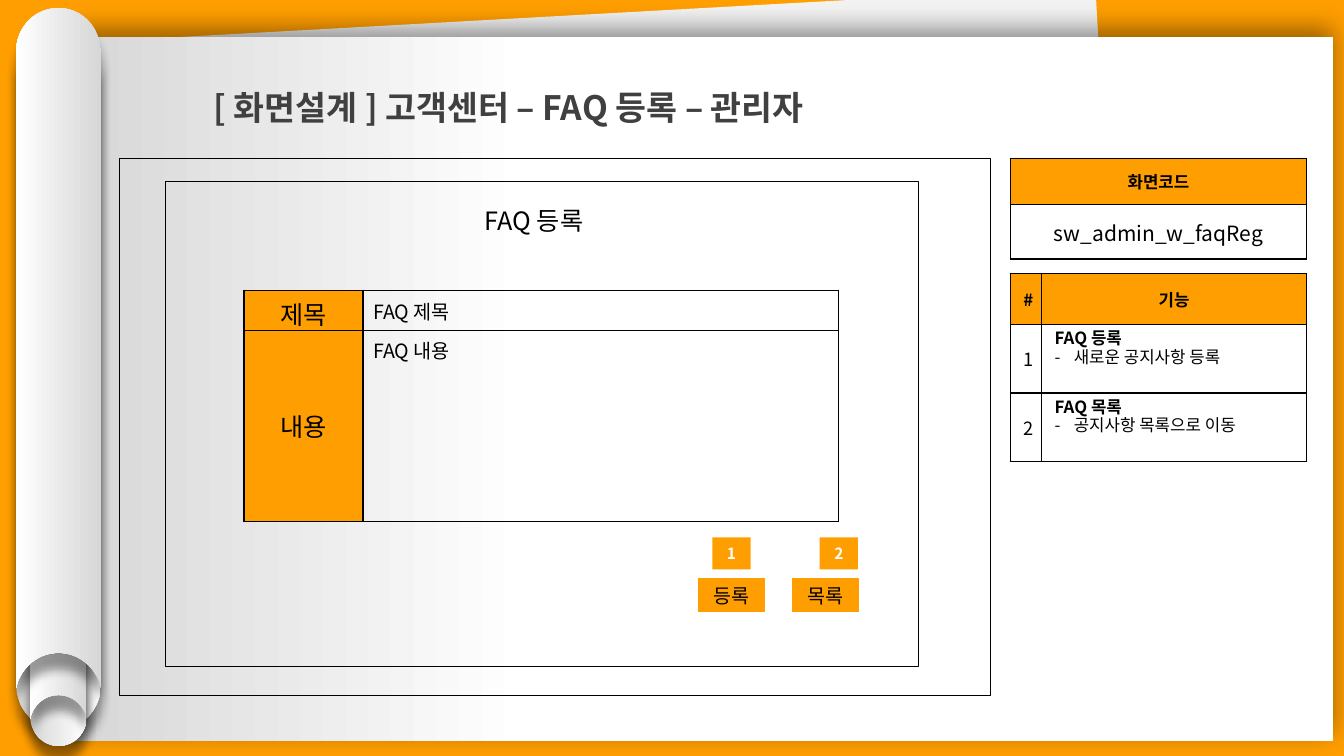
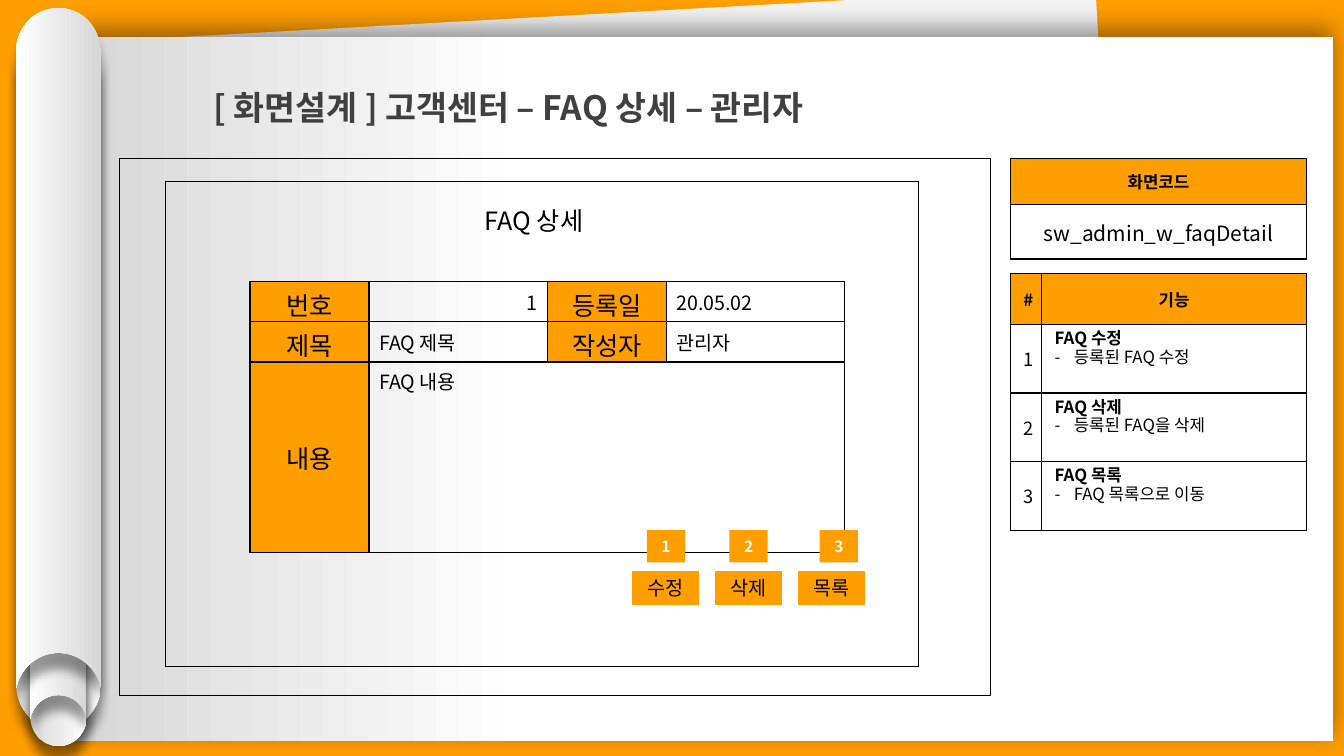
from lxml import etree
from pptx import Presentation
from pptx.dml.color import RGBColor
from pptx.enum.shapes import MSO_SHAPE
from pptx.enum.text import MSO_ANCHOR, PP_ALIGN
from pptx.oxml.ns import qn
from pptx.util import Inches, Pt

RECT = MSO_SHAPE.RECTANGLE
TOP, MIDDLE = MSO_ANCHOR.TOP, MSO_ANCHOR.MIDDLE
LEFT, CENTER, RIGHT = PP_ALIGN.LEFT, PP_ALIGN.CENTER, PP_ALIGN.RIGHT

FONT = "Noto Sans CJK KR"
ORANGE, BLACK, WHITE = "FF9E00", "000000", "FFFFFF"
TITLE_GRAY, SHEET_GRAY, FOLD_GRAY = "404040", "F2F2F2", "D7D7D7"

# Content: form cells are (text, style, columns spanned)
SCREENS = [
    {
        "title": "[ 화면설계 ] 고객센터 – FAQ 등록 – 관리자",
        "heading": "FAQ 등록",
        "code": "sw_admin_w_faqReg",
        "form_at": (2.42, 2.88),
        "form_columns": [1.18, 4.72],
        "form": [
            [("제목", "label", 1), ("FAQ 제목", "value", 1)],
            [("내용", "label", 1), ("FAQ 내용", "body", 1)],
        ],
        "buttons": ["등록", "목록"],
        "buttons_at": (6.93, 5.74),
        "button_step": 0.93,
        "functions": [
            ("FAQ 등록", "새로운 공지사항 등록"),
            ("FAQ 목록", "공지사항 목록으로 이동"),
        ],
    },
    {
        "title": "[ 화면설계 ] 고객센터 – FAQ 상세 – 관리자",
        "heading": "FAQ 상세",
        "code": "sw_admin_w_faqDetail",
        "form_at": (2.48, 2.79),
        "form_columns": [1.18, 1.77, 1.18, 1.77],
        "form": [
            [("번호", "label", 1), ("1", "number", 1),
             ("등록일", "label", 1), ("20.05.02", "value", 1)],
            [("제목", "label", 1), ("FAQ 제목", "value", 1),
             ("작성자", "label", 1), ("관리자", "value", 1)],
            [("내용", "label", 1), ("FAQ 내용", "body", 3)],
        ],
        "buttons": ["수정", "삭제", "목록"],
        "buttons_at": (6.28, 5.67),
        "button_step": 0.82,
        "functions": [
            ("FAQ 수정", "등록된 FAQ 수정"),
            ("FAQ 삭제", "등록된 FAQ을 삭제"),
            ("FAQ 목록", "FAQ 목록으로 이동"),
        ],
    },
]

# Form cell styles: size, alignment, anchor, fill
FORM_STYLES = {
    "label": (18, CENTER, MIDDLE, ORANGE),
    "value": (14, LEFT, MIDDLE, None),
    "number": (14, RIGHT, MIDDLE, None),
    "body": (14, LEFT, TOP, None),
}
FORM_ROW, FORM_BODY_ROW = 0.39, 1.89

# Scroll tubes from back to front: left, top, width, height, rotation
TUBES = [
    (0.16, 0.48, 0.84, 6.75, 180),
    (0.30, 2.88, 0.56, 4.52, 180),
    (0.30, 2.61, 0.56, 4.52, 0),
    (0.16, 0.08, 0.84, 6.75, 0),
]

SIDE_LEFT, SIDE_WIDTH, NUMBER_WIDTH = 10.02, 2.94, 0.31
BUTTON_W, BUTTON_H = 0.65, 0.33
BADGE_W, BADGE_H, BADGE_RISE, LAST_BADGE_LEFT = 0.38, 0.32, 0.41, 8.13


def rgb(color):
    return RGBColor.from_string(color)


def paint(shape, fill=None, line=None, width=1):
    shape.shadow.inherit = False
    if fill:
        shape.fill.solid()
        shape.fill.fore_color.rgb = rgb(fill)
    else:
        shape.fill.background()
    if line:
        shape.line.color.rgb = rgb(line)
        shape.line.width = Pt(width)
    else:
        shape.line.fill.background()


def paint_gradient(shape, stops):
    shape.fill.gradient()
    shape.fill.gradient_angle = 180
    for stop, (position, color) in zip(shape.fill.gradient_stops, stops):
        stop.position = position
        stop.color.rgb = rgb(color)


def cast_shadow(shape, blur, distance, angle):
    effects = shape.element.spPr.find(qn("a:effectLst"))
    shadow = etree.SubElement(
        effects, qn("a:outerShdw"), blurRad=str(Pt(blur)), dist=str(Pt(distance)),
        dir=str(angle * 60000), algn="ctr", rotWithShape="0")
    color = etree.SubElement(shadow, qn("a:srgbClr"), val=BLACK)
    etree.SubElement(color, qn("a:alpha"), val="40000")


def add_rect(slide, left, top, width, height, fill=None, line=None, line_width=1):
    rect = slide.shapes.add_shape(
        RECT, Inches(left), Inches(top), Inches(width), Inches(height))
    paint(rect, fill, line, line_width)
    return rect


def write(paragraph, text, size, color=BLACK, bold=False, align=LEFT):
    paragraph.alignment = align
    run = paragraph.add_run()
    run.text = text
    run.font.size, run.font.bold, run.font.name = Pt(size), bold, FONT
    run.font.color.rgb = rgb(color)


def add_label(slide, left, top, width, height, text, size, color=BLACK,
              bold=False, align=CENTER, spacing=None):
    box = slide.shapes.add_textbox(
        Inches(left), Inches(top), Inches(width), Inches(height))
    frame = box.text_frame
    frame.word_wrap = True
    frame.vertical_anchor = TOP
    write(frame.paragraphs[0], text, size, color, bold, align)
    if spacing:
        frame.paragraphs[0].line_spacing = spacing


def add_tag(slide, left, top, width, height, text, size, color, bold, line=None):
    tag = add_rect(slide, left, top, width, height, ORANGE, line)
    tag.text_frame.vertical_anchor = MIDDLE
    write(tag.text_frame.paragraphs[0], text, size, color, bold, CENTER)


def add_grid(slide, left, top, columns, rows):
    """Empty table with black rules and no style of its own."""
    table = slide.shapes.add_table(
        len(rows), len(columns), Inches(left), Inches(top),
        Inches(sum(columns)), Inches(sum(rows))).table
    table.first_row = table.horz_banding = False
    for column, width in zip(table.columns, columns):
        column.width = Inches(width)
    for row, height in zip(table.rows, rows):
        row.height = Inches(height)
    for cell in table.iter_cells():
        properties = cell._tc.get_or_add_tcPr()
        for side in ("a:lnL", "a:lnR", "a:lnT", "a:lnB"):
            rule = etree.SubElement(properties, qn(side), w=str(Pt(1)))
            ink = etree.SubElement(rule, qn("a:solidFill"))
            etree.SubElement(ink, qn("a:srgbClr"), val=BLACK)
        cell.fill.background()
    return table


def fill_cell(cell, text, size, align=CENTER, anchor=MIDDLE, fill=None, bold=False):
    cell.vertical_anchor = anchor
    if fill:
        cell.fill.solid()
        cell.fill.fore_color.rgb = rgb(fill)
    write(cell.text_frame.paragraphs[0], text, size, BLACK, bold, align)


def pad_cells(table):
    for cell in table.iter_cells():
        cell.margin_left = cell.margin_right = Inches(0.13)
        cell.margin_top = cell.margin_bottom = Inches(0.07)


def add_tube(scroll, left, top, width, height, rotation):
    """Tube with a domed top and a round notch cut in its foot."""
    w, h = width, height
    segments = [
        [(0.78 * w, 0), (w, 0.23 * w), (w, 0.52 * w)],
        [(w, h)],
        [(0.98 * w, h - 0.08 * w)],
        [(0.9 * w, h - 0.28 * w), (0.72 * w, h - 0.42 * w), (0.5 * w, h - 0.42 * w)],
        [(0.28 * w, h - 0.42 * w), (0.1 * w, h - 0.28 * w), (0.02 * w, h - 0.08 * w)],
        [(0, h)],
        [(0, 0.52 * w)],
        [(0, 0.23 * w), (0.22 * w, 0), (0.5 * w, 0)],
    ]
    outline = scroll.shapes.build_freeform(Inches(left + w / 2), Inches(top))
    outline.add_line_segments(
        [(Inches(left + x), Inches(top + y)) for part in segments for x, y in part])
    tube = outline.convert_to_shape()

    # Join each three-point segment into one curve
    lines = iter(list(tube.element.iter(qn("a:lnTo"))))
    for part in segments:
        steps = [next(lines) for _ in part]
        if len(steps) == 3:
            steps[0].tag = qn("a:cubicBezTo")
            for step in steps[1:]:
                steps[0].append(step[0])
                step.getparent().remove(step)
    outline_end = tube.element.find(".//" + qn("a:path"))
    if outline_end.find(qn("a:close")) is None:
        etree.SubElement(outline_end, qn("a:close"))

    paint(tube)
    paint_gradient(tube, [(0, FOLD_GRAY), (1, WHITE)])
    cast_shadow(tube, 7, 11, 90)
    tube.rotation = rotation


def add_frame(slide, title):
    # Paper, scroll, title and wireframe border
    add_rect(slide, 0.91, 0.14, 10.15, 6.8, SHEET_GRAY).rotation = 356.83
    paper = add_rect(slide, 0.73, 0.37, 12.49, 6.98)
    paint_gradient(paper, [(0.64, WHITE), (1, FOLD_GRAY)])
    cast_shadow(paper, 18, 6, 270)
    scroll = slide.shapes.add_group_shape()
    for tube in TUBES:
        add_tube(scroll, *tube)
    add_label(slide, 2.02, 0.61, 9.61, 0.66, title, 24, TITLE_GRAY, True, LEFT, 1.5)
    add_rect(slide, 1.19, 1.57, 8.63, 5.33, None, BLACK, 0.75)


def add_form(slide, screen):
    # Heading, screen border and form
    add_label(slide, 1.92, 1.99, 6.75, 0.5, screen["heading"], 18)
    add_rect(slide, 1.64, 1.8, 7.47, 4.81, None, BLACK)
    rows = screen["form"]
    heights = [FORM_ROW] * (len(rows) - 1) + [FORM_BODY_ROW]
    form = add_grid(slide, *screen["form_at"], screen["form_columns"], heights)
    for r, row in enumerate(rows):
        for c, (text, style, span) in enumerate(row):
            cell = form.cell(r, c)
            if span > 1:
                cell.merge(form.cell(r, c + span - 1))
            fill_cell(cell, text, *FORM_STYLES[style])


def add_buttons(slide, screen):
    left, top = screen["buttons_at"]
    labels = screen["buttons"]
    for number, label in enumerate(labels, 1):
        x = left + (number - 1) * screen["button_step"]
        last = number == len(labels)
        badge_x = LAST_BADGE_LEFT if last else x + (BUTTON_W - BADGE_W) / 2
        add_tag(slide, x, top, BUTTON_W, BUTTON_H, label, 14, BLACK, False, ORANGE)
        add_tag(slide, badge_x, top - BADGE_RISE, BADGE_W, BADGE_H,
                str(number), 11, WHITE, True)


def add_side_tables(slide, screen):
    # Screen code
    code = add_grid(slide, SIDE_LEFT, 1.57, [SIDE_WIDTH], [0.46, 0.54])
    pad_cells(code)
    fill_cell(code.cell(0, 0), "화면코드", 12, fill=ORANGE, bold=True)
    fill_cell(code.cell(1, 0), screen["code"], 15)

    # Numbered functions
    functions = screen["functions"]
    listing = add_grid(slide, SIDE_LEFT, 2.71, [NUMBER_WIDTH, SIDE_WIDTH - NUMBER_WIDTH],
                       [0.51] + [0.68] * len(functions))
    pad_cells(listing)
    for c, header in enumerate(["#", "기능"]):
        fill_cell(listing.cell(0, c), header, 12, fill=ORANGE, bold=True)
    for number, (name, detail) in enumerate(functions, 1):
        fill_cell(listing.cell(number, 0), str(number), 13)
        cell = listing.cell(number, 1)
        fill_cell(cell, name, 12, LEFT, TOP, bold=True)
        item = cell.text_frame.add_paragraph()
        write(item, detail, 12)
        for paragraph in cell.text_frame.paragraphs:
            paragraph.line_spacing = Pt(13)
        properties = item._p.get_or_add_pPr()
        properties.set("marL", str(Inches(0.19)))
        properties.set("indent", str(Inches(-0.19)))
        etree.SubElement(properties, qn("a:buFont"), typeface=FONT)
        etree.SubElement(properties, qn("a:buChar"), char="-")


def main():
    prs = Presentation()
    prs.slide_width, prs.slide_height = Inches(13.33), Inches(7.5)
    backdrop = prs.slide_master.background.fill
    backdrop.solid()
    backdrop.fore_color.rgb = rgb(ORANGE)
    for screen in SCREENS:
        slide = prs.slides.add_slide(prs.slide_layouts[6])
        add_frame(slide, screen["title"])
        add_form(slide, screen)
        add_side_tables(slide, screen)
        add_buttons(slide, screen)
    prs.save("out.pptx")


if __name__ == "__main__":
    main()
